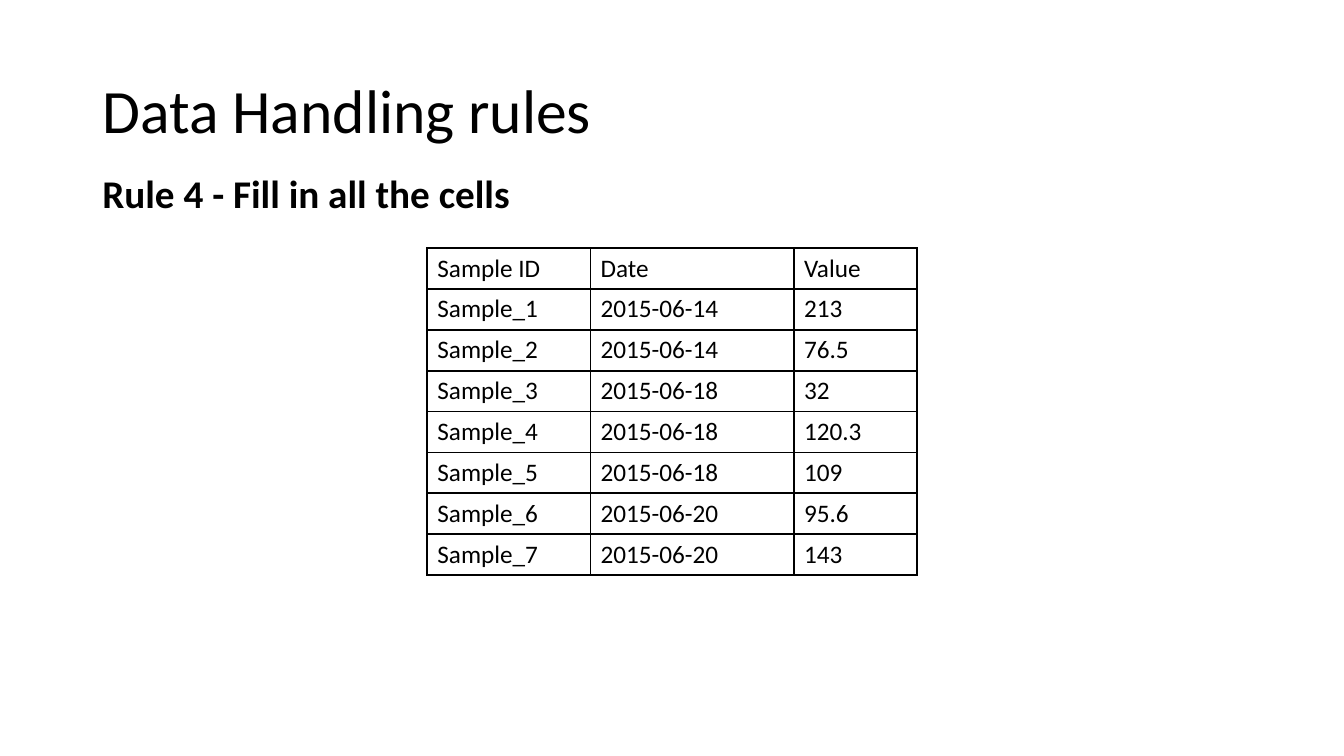
import pptx
import pptx.dml.color
import pptx.enum.text
import pptx.oxml
import pptx.oxml.ns
import pptx.util
from pptx.util import Cm

COLOURS = {"ink": "000000", "paper": "FFFFFF"}
ANCHOR = pptx.enum.text.MSO_ANCHOR
SAMPLES = [
    ("Sample ID", "Date", "Value"),
    ("Sample_1", "2015-06-14", "213"),
    ("Sample_2", "2015-06-14", "76.5"),
    ("Sample_3", "2015-06-18", "32"),
    ("Sample_4", "2015-06-18", "120.3"),
    ("Sample_5", "2015-06-18", "109"),
    ("Sample_6", "2015-06-20", "95.6"),
    ("Sample_7", "2015-06-20", "143"),
]


def write_text(frame, text, size=18, bold=False, line_spacing=1.0, before=0):
    """Write one formatted paragraph into a text frame."""
    para = frame.paragraphs[0]
    para.line_spacing = line_spacing
    para.space_before = pptx.util.Pt(before)
    span = para.add_run()
    span.text = text
    span.font.name = "Calibri"
    span.font.size = pptx.util.Pt(size)
    span.font.bold = bold
    span.font.color.rgb = pptx.dml.color.RGBColor.from_string(COLOURS["ink"])


def add_heading(page, box, text, anchor=ANCHOR.TOP, **style):
    """Place a wrapped line of text in the given box."""
    frame = page.shapes.add_textbox(*box).text_frame
    frame.word_wrap = True
    frame.vertical_anchor = anchor
    write_text(frame, text, line_spacing=0.9, **style)


def add_borders(cell, points=1.5):
    """Draw a solid line on all four sides of a cell."""
    properties = cell._tc.get_or_add_tcPr()
    for position, side in enumerate(("lnL", "lnR", "lnT", "lnB")):
        line = pptx.oxml.parse_xml(
            f'<a:{side} {pptx.oxml.ns.nsdecls("a")} w="{pptx.util.Pt(points)}">'
            f'<a:solidFill><a:srgbClr val="{COLOURS["ink"]}"/></a:solidFill></a:{side}>'
        )
        properties.insert(position, line)


def add_sample_table(page, box, rows, shares):
    """Fill the box with a bordered table whose columns follow the shares."""
    left, top, width, height = box
    table = page.shapes.add_table(len(rows), len(shares), left, top, width, height).table
    table.first_row = table.horz_banding = False
    for column, share in zip(table.columns, shares):
        column.width = int(width * share / sum(shares))
    for row, values in zip(table.rows, rows):
        row.height = height // len(rows)
        for cell, value in zip(row.cells, values):
            cell.vertical_anchor = ANCHOR.MIDDLE
            cell.fill.background()
            add_borders(cell)
            write_text(cell.text_frame, value)


def build_rule_page(deck):
    """Add the page with a title, a rule and its sample table."""
    page = deck.slides.add_slide(deck.slide_layouts[6])
    page.background.fill.solid()
    page.background.fill.fore_color.rgb = pptx.dml.color.RGBColor.from_string(COLOURS["paper"])
    left, width = Cm(2.33), Cm(29.21)
    add_heading(page, (left, Cm(1.01), width, Cm(3.68)), "Data Handling rules",
                anchor=ANCHOR.MIDDLE, size=44)
    add_heading(page, (left, Cm(4.27), width, Cm(12.09)), "Rule 4 - Fill in all the cells",
                size=28, bold=True, before=10)
    add_sample_table(page, (Cm(10.77), Cm(6.25), Cm(12.34), Cm(8.24)), SAMPLES,
                     shares=(1.62, 2.02, 1.22))


def main():
    """Build and save the deck."""
    deck = pptx.Presentation()
    deck.slide_width, deck.slide_height = Cm(33.87), Cm(19.05)
    build_rule_page(deck)
    deck.save("out.pptx")


if __name__ == "__main__":
    main()
